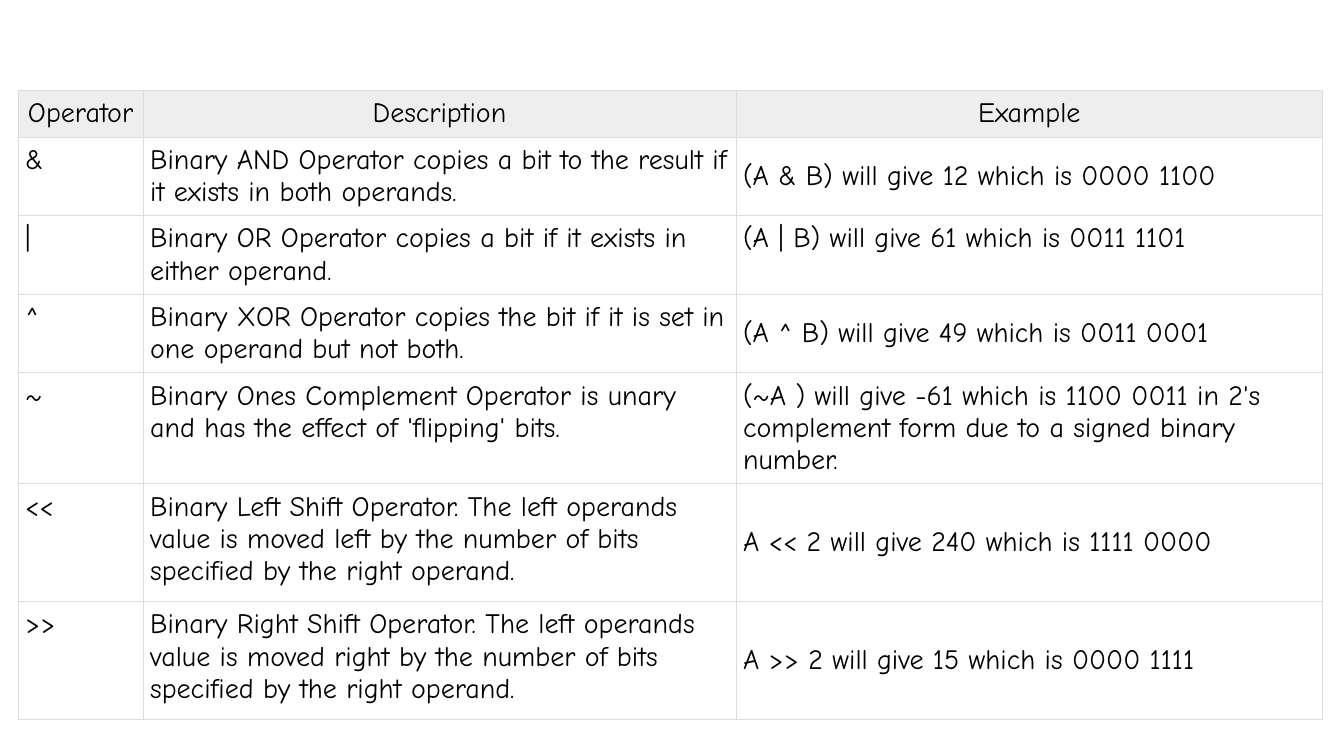
"""Build a slide with a table of bitwise operators."""
from dataclasses import dataclass

from lxml import etree
from pptx import Presentation
from pptx import util as u
from pptx.dml.color import RGBColor
from pptx.enum import text
from pptx.oxml import ns


@dataclass(frozen=True)
class Theme:
    font: str = "Comic Neue"
    size: float = 20
    ink: str = "000000"
    header: str = "EEEEEE"
    rule: str = "DDDDDD"
    rule_width: float = 0.75
    inset: float = 0.07


class SlideBuilder:
    def __init__(self, slide, theme):
        self.slide = slide
        self.theme = theme

    def borders(self, cell):
        properties = cell._tc.get_or_add_tcPr()
        for position, side in enumerate(("lnL", "lnR", "lnT", "lnB")):
            line = etree.Element(ns.qn(f"a:{side}"), w=str(u.Pt(self.theme.rule_width)))
            fill = etree.SubElement(line, ns.qn("a:solidFill"))
            etree.SubElement(fill, ns.qn("a:srgbClr"), val=self.theme.rule)
            properties.insert(position, line)

    def cell(self, cell, wording, is_header, is_middle):
        theme = self.theme
        inset = u.Inches(theme.inset)
        cell.margin_left = cell.margin_right = inset
        cell.margin_top = cell.margin_bottom = inset
        cell.vertical_anchor = text.MSO_ANCHOR.MIDDLE if is_middle else text.MSO_ANCHOR.TOP
        if is_header:
            cell.fill.solid()
            cell.fill.fore_color.rgb = RGBColor.from_string(theme.header)
        else:
            cell.fill.background()
        self.borders(cell)
        paragraph = cell.text_frame.paragraphs[0]
        paragraph.alignment = text.PP_ALIGN.CENTER if is_header else text.PP_ALIGN.LEFT
        run = paragraph.add_run()
        run.text = wording
        run.font.name = theme.font
        run.font.size = u.Pt(theme.size)
        run.font.bold = False
        run.font.color.rgb = RGBColor.from_string(theme.ink)

    def table(self, left, top, widths, heights, rows, middle_cells):
        table = self.slide.shapes.add_table(
            len(rows), len(widths), u.Inches(left), u.Inches(top),
            u.Inches(sum(widths)), u.Inches(sum(heights))).table
        table.first_row = table.horz_banding = False
        for column, width in zip(table.columns, widths):
            column.width = u.Inches(width)
        for row, height in zip(table.rows, heights):
            row.height = u.Inches(height)
        for r, wordings in enumerate(rows):
            for c, wording in enumerate(wordings):
                self.cell(table.cell(r, c), wording, r == 0, (r, c) in middle_cells)


OPERATORS = [
    ("Operator", "Description", "Example"),
    ("&", "Binary AND Operator copies a bit to the result if it exists in both operands.",
     "(A & B) will give 12 which is 0000 1100"),
    ("|", "Binary OR Operator copies a bit if it exists in either operand.",
     "(A | B) will give 61 which is 0011 1101"),
    ("^", "Binary XOR Operator copies the bit if it is set in one operand but not both.",
     "(A ^ B) will give 49 which is 0011 0001"),
    ("~", "Binary Ones Complement Operator is unary and has the effect of 'flipping' bits.",
     "(~A ) will give -61 which is 1100 0011 in 2's complement form due to a signed "
     "binary number."),
    ("<<", "Binary Left Shift Operator. The left operands value is moved left by the "
     "number of bits specified by the right operand.",
     "A << 2 will give 240 which is 1111 0000"),
    (">>", "Binary Right Shift Operator. The left operands value is moved right by the "
     "number of bits specified by the right operand.",
     "A >> 2 will give 15 which is 0000 1111"),
]


def main():
    deck = Presentation()
    deck.slide_width, deck.slide_height = u.Inches(13.33), u.Inches(7.5)
    builder = SlideBuilder(deck.slides.add_slide(deck.slide_layouts[6]), Theme())
    builder.table(
        0.18, 0.9,
        widths=(1.24, 5.88, 5.82),
        heights=(0.4, 0.74, 0.67, 0.76, 0.93, 1.17, 1.17),
        rows=OPERATORS,
        middle_cells={(row, 2) for row in (1, 3, 5, 6)})
    deck.save("out.pptx")


if __name__ == "__main__":
    main()
